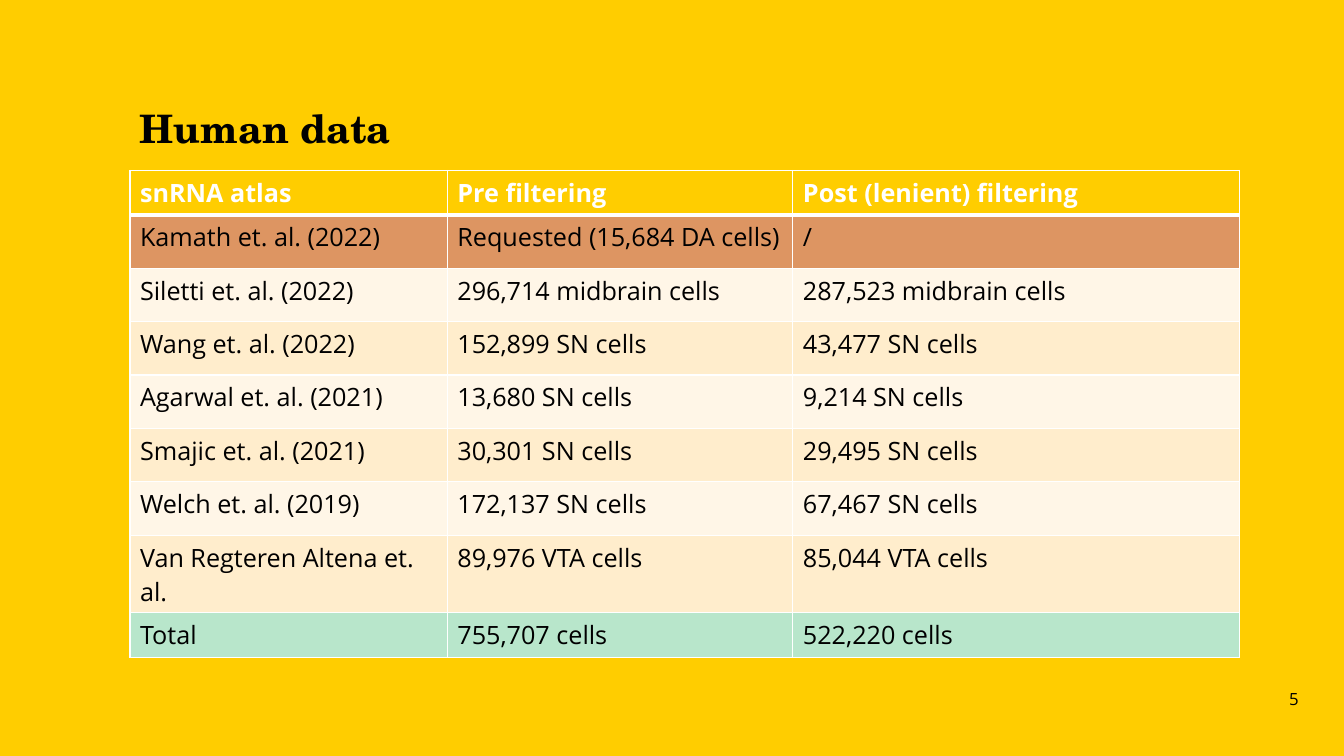
from lxml import etree
from pptx import Presentation
from pptx import util as u
from pptx.dml.color import RGBColor
from pptx.enum import text
from pptx.oxml import ns

COLORS = {
    "yellow": "FFCD00", "black": "000000", "white": "FFFFFF", "orange": "DD9562",
    "cream": "FFF6E7", "sand": "FFEDCC", "green": "B8E6CB",
}
ATLASES = [
    ("snRNA atlas", "Pre filtering", "Post (lenient) filtering"),
    ("Kamath et. al. (2022)", "Requested (15,684 DA cells)", "/"),
    ("Siletti et. al. (2022)", "296,714 midbrain cells", "287,523 midbrain cells"),
    ("Wang et. al. (2022)", "152,899 SN cells", "43,477 SN cells"),
    ("Agarwal et. al. (2021)", "13,680 SN cells", "9,214 SN cells"),
    ("Smajic et. al. (2021)", "30,301 SN cells", "29,495 SN cells"),
    ("Welch et. al. (2019)", "172,137 SN cells", "67,467 SN cells"),
    ("Van Regteren Altena et. al.", "89,976 VTA cells", "85,044 VTA cells"),
    ("Total", "755,707 cells", "522,220 cells"),
]
COLUMN_WIDTHS = [3.15, 3.43, 4.43]
ROW_HEIGHTS = [0.44] + [0.53] * 6 + [0.77, 0.44]
ROW_FILLS = ["yellow", "orange"] + ["cream", "sand"] * 3 + ["green"]


def write(frame, content, size=18, font="Open Sans", color="black", bold=False,
          align=text.PP_ALIGN.LEFT):
    paragraph = frame.paragraphs[0]
    paragraph.alignment = align
    run = paragraph.add_run()
    run.text = content
    run.font.size = u.Pt(size)
    run.font.name = font
    run.font.bold = bold
    run.font.color.rgb = RGBColor.from_string(COLORS[color])


class SlideBuilder:
    """Holds the presentation style and the current slide."""

    def __init__(self, width, height, background):
        self.presentation = Presentation()
        self.presentation.slide_width = u.Inches(width)
        self.presentation.slide_height = u.Inches(height)
        self.slide = self.presentation.slides.add_slide(self.presentation.slide_layouts[6])
        self.paint(self.slide.background.fill, background)

    def paint(self, fill, color):
        fill.solid()
        fill.fore_color.rgb = RGBColor.from_string(COLORS[color])

    def textbox(self, left, top, width, height, content, inset=None,
                anchor=text.MSO_ANCHOR.TOP, **style):
        shape = self.slide.shapes.add_textbox(*map(u.Inches, (left, top, width, height)))
        frame = shape.text_frame
        frame.word_wrap = True
        frame.vertical_anchor = anchor
        if inset is not None:
            frame.margin_left = frame.margin_right = u.Inches(inset)
            frame.margin_top = frame.margin_bottom = u.Inches(inset)
        write(frame, content, **style)

    def border(self, cell, side, points):
        properties = cell._tc.get_or_add_tcPr()
        line = etree.SubElement(properties, ns.qn(f"a:ln{side}"), w=str(u.Pt(points)))
        fill = etree.SubElement(line, ns.qn("a:solidFill"))
        etree.SubElement(fill, ns.qn("a:srgbClr"), val=COLORS["white"])

    def table(self, left, top, rows, widths, heights, fills):
        size = (left, top, sum(widths), sum(heights))
        shape = self.slide.shapes.add_table(len(rows), len(widths), *map(u.Inches, size))
        table = shape.table
        for column, width in zip(table.columns, widths):
            column.width = u.Inches(width)
        for index, (row, height) in enumerate(zip(table.rows, heights)):
            row.height = u.Inches(height)
            header = index == 0
            for cell, content in zip(row.cells, rows[index]):
                for side in "LRTB":
                    thick = (index, side) in ((0, "B"), (1, "T"))
                    self.border(cell, side, 3 if thick else 1)
                self.paint(cell.fill, fills[index])
                write(cell.text_frame, content, bold=header,
                      color="white" if header else "black")


def main():
    builder = SlideBuilder(13.34, 7.5, "yellow")
    builder.textbox(1.29, 0.99, 11.01, 1.37, "Human data", size=28,
                    font="TeX Gyre Schola", bold=True)
    builder.textbox(12.19, 6.73, 0.7, 0.41, "5", inset=0, size=12,
                    anchor=text.MSO_ANCHOR.MIDDLE, align=text.PP_ALIGN.RIGHT)
    builder.table(1.29, 1.69, ATLASES, COLUMN_WIDTHS, ROW_HEIGHTS, ROW_FILLS)
    builder.presentation.save("out.pptx")


if __name__ == "__main__":
    main()
